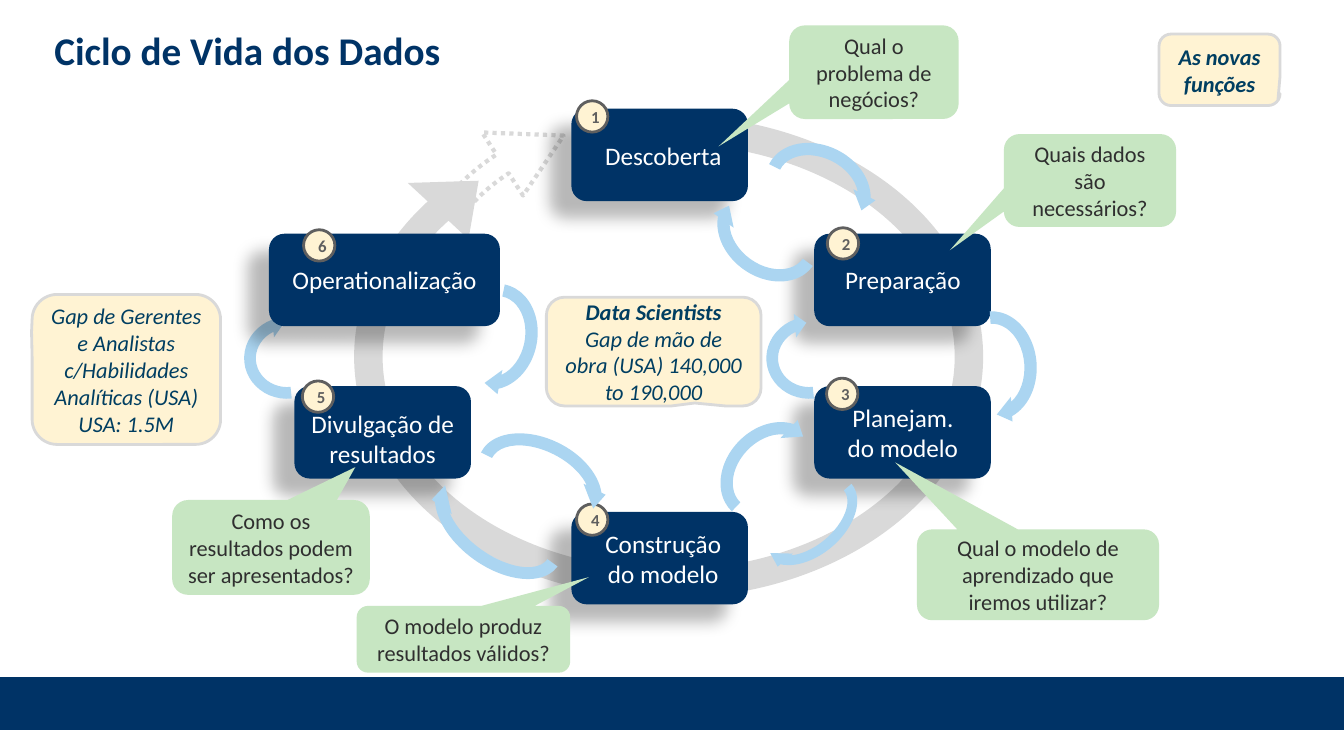
from lxml.etree import SubElement
from pptx import Presentation
from pptx.dml.color import RGBColor
from pptx.enum.dml import MSO_LINE
from pptx.enum.shapes import MSO_SHAPE
from pptx.enum.text import MSO_ANCHOR, PP_ALIGN
from pptx.oxml.ns import qn
from pptx.util import Cm, Pt

NAVY = RGBColor(0x00, 0x33, 0x66)
INK = RGBColor(0x00, 0x3E, 0x61)
WHITE = RGBColor(0xFF, 0xFF, 0xFF)
BLACK = RGBColor(0x00, 0x00, 0x00)
GREY = RGBColor(0xD9, 0xD9, 0xD9)
SLATE = RGBColor(0x5F, 0x5F, 0x5F)
CREAM = RGBColor(0xFF, 0xF3, 0xD3)
GREEN = RGBColor(0xC7, 0xE6, 0xC2)
CHARCOAL = RGBColor(0x2F, 0x2F, 0x2F)
SKY = RGBColor(0xAB, 0xD5, 0xF1)

TITLE = {"size": Pt(28), "bold": True, "color": NAVY}
STEP = {"size": Pt(18), "color": WHITE}
BADGE = {"size": Pt(12), "bold": True, "color": SLATE}
QUESTION = {"size": Pt(16), "color": CHARCOAL}
NOTE = {"size": Pt(16), "italic": True, "color": INK}
NOTE_BOLD = {**NOTE, "bold": True}

BOX_H, BADGE_D = 2.33, 0.79
RING_W, RING_H = 13.54, 17.22
SMALL_ARROW = (0.125, 11.423, 204.577, 108, 0.125)

STEPS = [
    ("Descoberta", 14.4, 2.74, 4.45, 14.81, 3.4, 3.81, 14.53, 2.54),
    ("Preparação", 20.52, 5.89, 4.45, 20.85, 6.53, 3.81, 20.85, 5.74),
    ("Planejam. do modelo", 20.52, 9.73, 4.45, 20.85, 10.01, 3.81, 20.83, 9.53),
    ("Construção do modelo", 14.4, 12.9, 4.45, 14.81, 13.18, 3.81, 14.53, 12.7),
    ("Divulgação de resultados", 7.42, 9.73, 4.45, 7.42, 10.16, 4.45, 7.62, 9.6),
    ("Operationalização", 6.78, 5.89, 5.82, 6.78, 6.53, 5.82, 7.65, 5.79),
]
SMALL_ARROWS = [
    (19.08, 3.51, 3.07, 2.49, 26.6),
    (17.83, 4.65, 3.07, 2.49, 215.8),
    (23.5, 7.98, 3.07, 2.49, 86.1),
    (19.23, 7.77, 2.36, 2.49, 264.3),
    (11.79, 10.9, 3.63, 2.49, 26.6),
    (10.59, 11.96, 3.96, 2.49, 215.8),
    (18.85, 12.09, 3.07, 2.03, 139.6),
    (17.86, 10.64, 3.07, 2.49, 313.6),
    (6.07, 7.77, 2.36, 2.49, 264.3),
    (10.95, 7.24, 3, 2.49, 101.6),
]
RESULTS_QUESTION = ("Como os resultados podem ser apresentados?",
                    (4.34, 12.6, 4.98, 2.39), (0.427, -0.847))
QUESTIONS = [
    ("Qual o problema de negócios?", (19.89, 0.64, 4.27, 2.36), (-0.917, 0.792)),
    ("Quais dados são necessários?", (25.3, 3.38, 4.34, 2.34), (-0.814, 0.751)),
    ("Qual o modelo de aprendizado que iremos utilizar?",
     (23.11, 13.34, 6.1, 2.29), (-0.59, -1.237)),
    ("O modelo produz resultados válidos?",
     (8.99, 15.27, 5.38, 1.68), (0.588, -0.933)),
]
NOTES = [
    ([("As novas funções", NOTE_BOLD)], (29.21, 0.86, 3.05, 1.8), (0.483, 0.414)),
    ([("Data Scientists", NOTE_BOLD),
      ("Gap de mão de obra (USA) 140,000 to 190,000", NOTE)],
     (13.77, 7.49, 5.41, 2.74), (0.191, 0.473)),
    ([("Gap de Gerentes e Analistas c/Habilidades Analíticas (USA)", NOTE),
      ("USA: 1.5M", NOTE)], (0.81, 7.42, 4.75, 3.78), (-0.503, -0.25)),
]


def add_shape(s, kind, at, fill=None, line=None, width=2, adj=(), rotation=0):
    sp = s.shapes.add_shape(kind, *map(Cm, at))
    sp.shadow.inherit = False
    sp.rotation = rotation
    for i, value in enumerate(adj):
        sp.adjustments[i] = value
    if fill is None:
        sp.fill.background()
    else:
        sp.fill.solid()
        sp.fill.fore_color.rgb = fill
    if line is None:
        sp.line.fill.background()
    else:
        sp.line.color.rgb = line
        sp.line.width = Pt(width)
    return sp


def write(sp, lines, align=PP_ALIGN.CENTER, anchor=MSO_ANCHOR.MIDDLE):
    tf = sp.text_frame
    tf.word_wrap = True
    tf.vertical_anchor = anchor
    for i, (text, fmt) in enumerate(lines):
        p = tf.add_paragraph() if i else tf.paragraphs[0]
        p.alignment = align
        r = p.add_run()
        r.text = text
        r.font.name = "Calibri"
        for name, value in fmt.items():
            if name == "color":
                r.font.color.rgb = value
            else:
                setattr(r.font, name, value)


def add_text(s, at, lines, **layout):
    write(s.shapes.add_textbox(*map(Cm, at)), lines, **layout)


def cast_shadow(sp):
    effects = sp._element.spPr.find(qn("a:effectLst"))
    shadow = SubElement(effects, qn("a:outerShdw"), blurRad=str(Pt(11.8)),
                        dist=str(Pt(19.7)), dir=str(141 * 60000),
                        algn="ctr", rotWithShape="0")
    color = SubElement(shadow, qn("a:srgbClr"), val=str(BLACK))
    SubElement(color, qn("a:alpha"), val="28000")


def add_step(s, number, label, x, y, w, text_x, text_y, text_w, badge_x, badge_y):
    cast_shadow(add_shape(s, MSO_SHAPE.ROUNDED_RECTANGLE, (x, y, w, BOX_H), NAVY))
    add_text(s, (text_x, text_y, text_w, 1.78), [(label, STEP)],
             anchor=MSO_ANCHOR.TOP)
    badge = add_shape(s, MSO_SHAPE.OVAL, (badge_x, badge_y, BADGE_D, BADGE_D),
                      CREAM, SLATE)
    write(badge, [(str(number), BADGE)])


def add_callout(s, lines, at, tip, fill, line=None):
    sp = add_shape(s, MSO_SHAPE.ROUNDED_RECTANGULAR_CALLOUT, at, fill, line,
                   adj=(*tip, 0.167))
    write(sp, lines)


def add_question(s, text, at, tip):
    add_callout(s, [(text, QUESTION)], at, tip, GREEN)


def add_cycle(s):
    dotted = add_shape(s, MSO_SHAPE.CIRCULAR_ARROW, (11.15, 0.53, RING_W, RING_H),
                       line=GREY, width=3, rotation=110.4,
                       adj=(0.042, 8.028, 67.928, 60.209, 0.07))
    dotted.line.dash_style = MSO_LINE.ROUND_DOT
    add_shape(s, MSO_SHAPE.CIRCULAR_ARROW, (10.08, 0.38, RING_W, RING_H), GREY,
              rotation=90, adj=(0.053, 6.31, 73.371, 108, 0.077))


def main():
    prs = Presentation()
    prs.slide_width, prs.slide_height = Cm(33.87), Cm(19.05)
    s = prs.slides.add_slide(prs.slide_layouts[6])
    add_shape(s, MSO_SHAPE.RECTANGLE, (0, 17.09, 33.87, 1.27), NAVY, NAVY)
    add_cycle(s)
    steps = list(enumerate(STEPS, 1))
    for number, step in steps[:5]:
        add_step(s, number, *step)
    add_question(s, *RESULTS_QUESTION)
    for *at, rotation in SMALL_ARROWS:
        add_shape(s, MSO_SHAPE.CIRCULAR_ARROW, at, SKY, adj=SMALL_ARROW,
                  rotation=rotation)
    for number, step in steps[5:]:
        add_step(s, number, *step)
    for question in QUESTIONS:
        add_question(s, *question)
    for lines, at, tip in NOTES:
        add_callout(s, lines, at, tip, CREAM, GREY)
    add_text(s, (1.12, 0.2, 31.32, 2.11), [("Ciclo de Vida dos Dados", TITLE)],
             align=PP_ALIGN.LEFT)
    prs.save("out.pptx")


if __name__ == "__main__":
    main()
